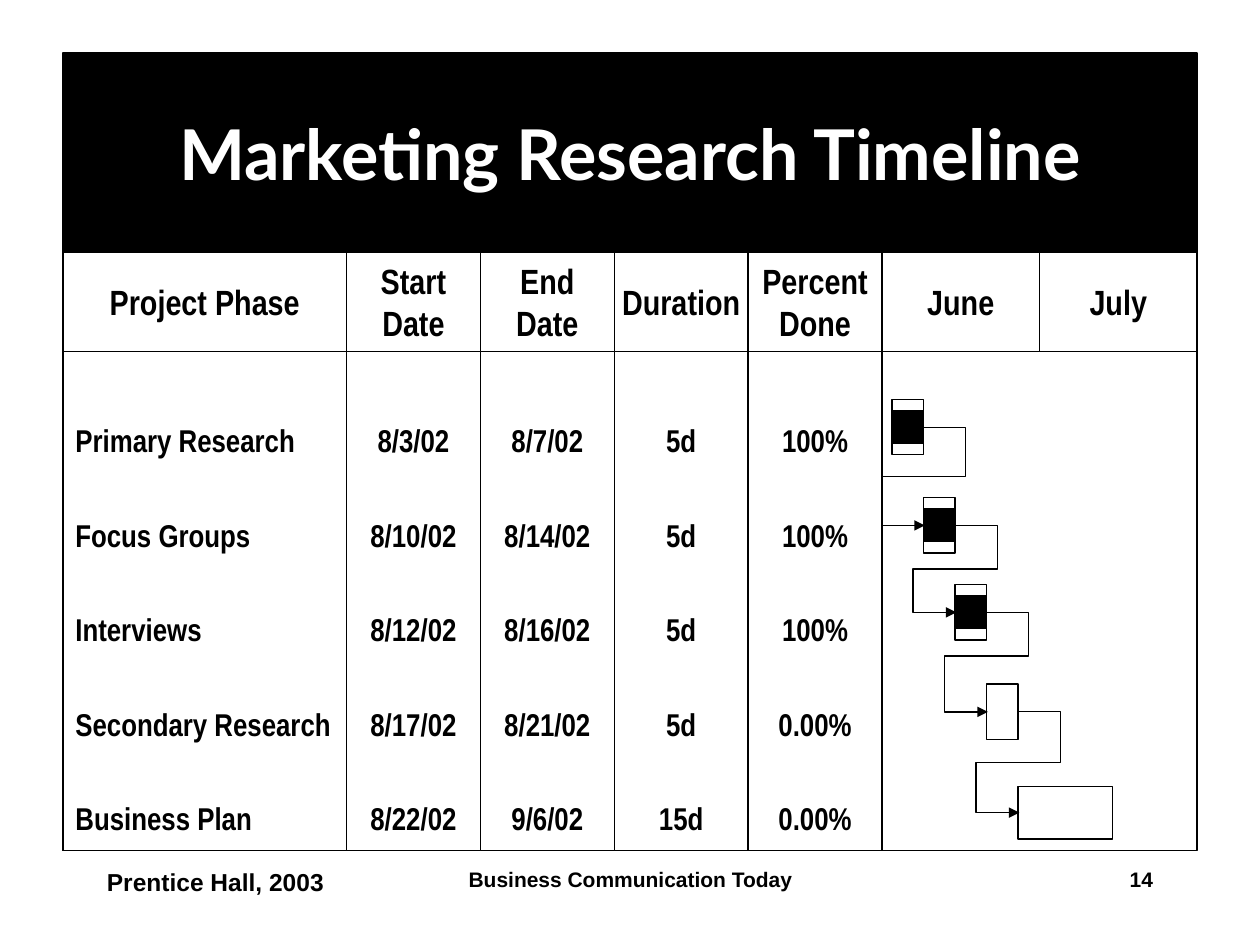
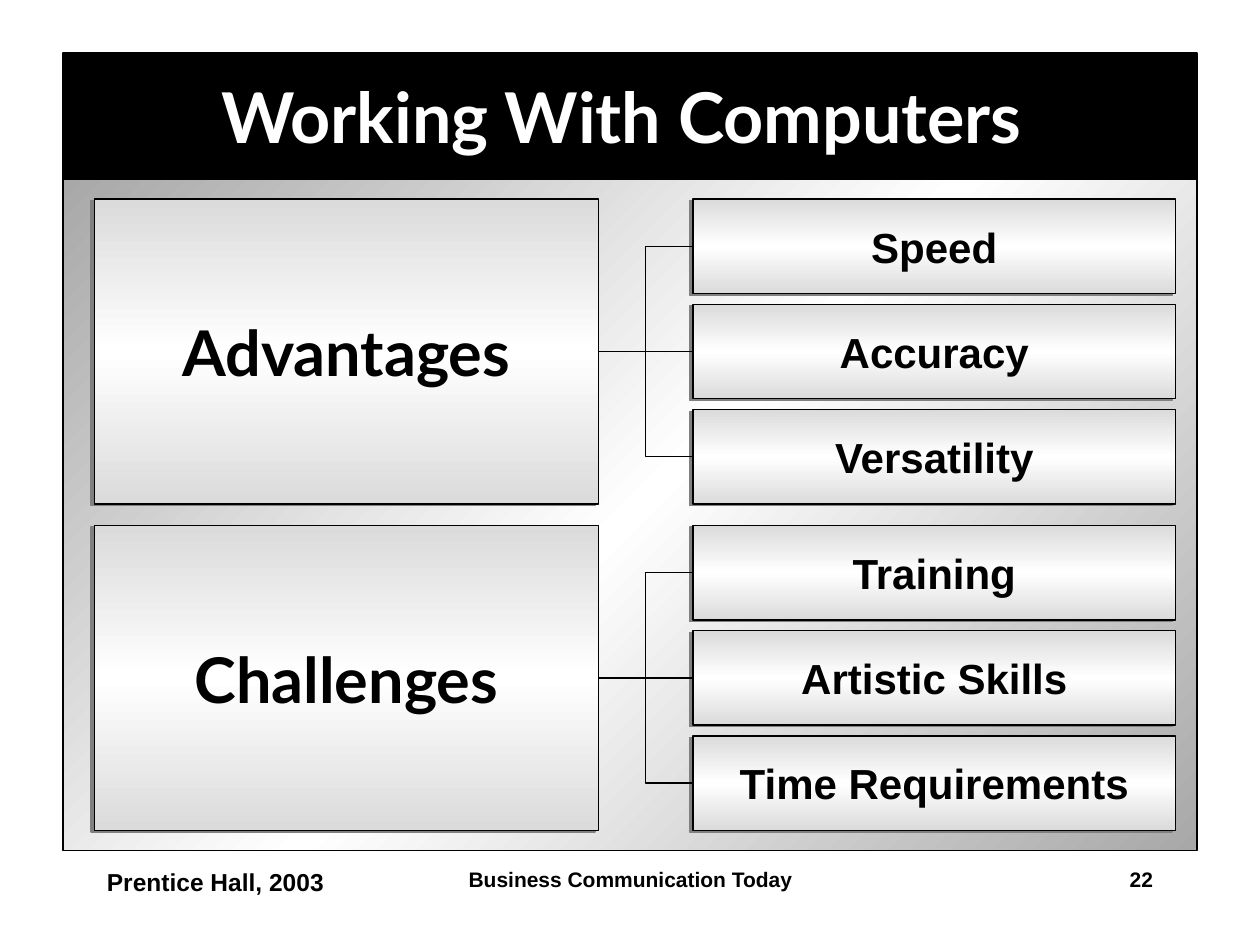
from copy import deepcopy
from lxml.etree import SubElement
from pptx import Presentation
from pptx.dml.color import RGBColor
from pptx.enum.shapes import MSO_CONNECTOR, MSO_SHAPE
from pptx.enum.text import MSO_ANCHOR, MSO_AUTO_SIZE, PP_ALIGN
from pptx.oxml.ns import qn
from pptx.util import Inches, Pt

BLACK = RGBColor(0x00, 0x00, 0x00)
WHITE = RGBColor(0xFF, 0xFF, 0xFF)
SILVER = RGBColor(0xA8, 0xA8, 0xA8)
PALE = RGBColor(0xDB, 0xDB, 0xDB)
GRAY = RGBColor(0x80, 0x80, 0x80)

TITLE_FONT = "Lato"
BODY_FONT = "Arial"
TABLE_FONT = "Arial Narrow"
TITLE_ONLY = 5

LEFT, TOP, WIDTH, BOTTOM = 0.5, 0.42, 9, 6.75

FOOTERS = [
    (3.42, 3.17, 12, PP_ALIGN.CENTER),
    (7.17, 2.08, 12, PP_ALIGN.RIGHT),
    (0.75, 2.08, 14, PP_ALIGN.LEFT),
]

DATE_WIDTH = 4.25 / 4
COLUMNS = [
    (2.25, ["Project Phase"],
     ["Primary Research", "Focus Groups", "Interviews", "Secondary Research", "Business Plan"]),
    (DATE_WIDTH, ["Start", "Date"], ["8/3/02", "8/10/02", "8/12/02", "8/17/02", "8/22/02"]),
    (DATE_WIDTH, ["End", "Date"], ["8/7/02", "8/14/02", "8/16/02", "8/21/02", "9/6/02"]),
    (DATE_WIDTH, ["Duration"], ["5d", "5d", "5d", "5d", "15d"]),
    (DATE_WIDTH, ["Percent", "Done"], ["100%", "100%", "100%", "0.00%", "0.00%"]),
    (1.25, ["June"], []),
    (1.25, ["July"], []),
]
BARS = [
    (3.17, 0.25, 0.44, True),
    (3.95, 0.25, 0.44, True),
    (4.64, 0.25, 0.44, True),
    (5.43, 0.25, 0.44, False),
    (6.24, 0.75, 0.42, False),
]
LINK_BENDS = [0.5, 0.5, 0.44, 0.5]

GROUPS = [
    (1.58, "Advantages", ["Speed", "Accuracy", "Versatility"]),
    (4.17, "Challenges", ["Training", "Artistic Skills", "Time Requirements"]),
]


class SlideBuilder:
    def __init__(self, deck):
        self.deck = deck
        self.page = None

    def start(self, title, title_height, number):
        self.page = self.deck.slides.add_slide(self.deck.slide_layouts[TITLE_ONLY])
        band = self.page.shapes.title
        band.left, band.top = Inches(LEFT), Inches(TOP)
        band.width, band.height = Inches(WIDTH), Inches(title_height)
        self.paint(band, BLACK)
        self.set_text(band, [title], 40, TITLE_FONT, color=WHITE)
        texts = ["Business Communication Today", str(number), "Prentice Hall, 2003"]
        for text, (left, width, size, align) in zip(texts, FOOTERS):
            box = self.page.shapes.add_textbox(
                Inches(left), Inches(6.83), Inches(width), Inches(0.5))
            self.set_text(box, [text], size, BODY_FONT, align, anchor=MSO_ANCHOR.TOP)

    def paint(self, shape, fill):
        shape.fill.solid()
        shape.fill.fore_color.rgb = fill
        self.outline(shape)

    def outline(self, shape):
        shape.line.color.rgb = BLACK
        shape.line.width = Pt(0.75)

    def set_text(self, shape, lines, size, font, align=PP_ALIGN.CENTER, color=BLACK,
                 anchor=MSO_ANCHOR.MIDDLE, wrap=True, spacing=None):
        frame = shape.text_frame
        frame.word_wrap = wrap
        frame.auto_size = MSO_AUTO_SIZE.NONE
        frame.vertical_anchor = anchor
        frame.text = "\n".join(lines)
        for para in frame.paragraphs:
            para.alignment = align
            para.line_spacing = spacing
            para.font.name = font
            para.font.size = Pt(size)
            para.font.bold = True
            para.font.color.rgb = color

    def rectangle(self, left, top, width, height, fill=WHITE):
        shape = self.page.shapes.add_shape(
            MSO_SHAPE.RECTANGLE, Inches(left), Inches(top), Inches(width), Inches(height))
        shape.shadow.inherit = False
        self.paint(shape, fill)
        return shape

    def cell(self, left, top, width, height, lines, size, **style):
        shape = self.rectangle(left, top, width, height)
        self.set_text(shape, lines, size, TABLE_FONT, wrap=False, **style)

    def gradient(self, shape, edge, angle):
        shape.fill.gradient()
        shape.fill.gradient_angle = angle
        stop_list = shape.element.spPr.find(qn("a:gradFill")).find(qn("a:gsLst"))
        stop_list.insert(1, deepcopy(stop_list[0]))
        colors = [(0, edge), (0.5, WHITE), (1, edge)]
        for stop, (position, color) in zip(shape.fill.gradient_stops, colors):
            stop.position = position
            stop.color.rgb = color

    def card(self, left, top, width, height, text, size, font):
        shape = self.rectangle(left, top, width, height)
        self.gradient(shape, PALE, 270)
        effects = shape.element.spPr.find(qn("a:effectLst"))
        shadow = SubElement(effects, qn("a:outerShdw"), dist=str(Pt(2.2)),
                            dir=str(154 * 60000), algn="ctr", rotWithShape="0")
        SubElement(shadow, qn("a:srgbClr"), val=str(GRAY))
        self.set_text(shape, [text], size, font, wrap=False)
        return shape

    def connector(self, kind, start=(0, 0), end=(0, 0)):
        line = self.page.shapes.add_connector(
            kind, *(Inches(value) for value in (*start, *end)))
        self.outline(line)
        SubElement(line.element.spPr, qn("a:effectLst"))
        return line

    def join(self, kind, source, target):
        line = self.connector(kind)
        line.begin_connect(source, 3)
        line.end_connect(target, 1)

    def wrapped_arrow(self, left, start, end, bend):
        width, reach = 0.01, 0.34
        line = self.connector(MSO_CONNECTOR.ELBOW, (left, start), (left + width, end))
        properties = line.element.spPr
        SubElement(properties.find(qn("a:ln")), qn("a:tailEnd"), type="triangle")
        geometry = properties.find(qn("a:prstGeom"))
        geometry.set("prst", "bentConnector5")
        guides = geometry.find(qn("a:avLst"))
        for index, ratio in enumerate([reach / width, bend, -reach / width], 1):
            SubElement(guides, qn("a:gd"), name=f"adj{index}",
                       fmla=f"val {round(ratio * 100000)}")


def timeline(builder):
    builder.start("Marketing Research Timeline", 1.58, 14)
    header_top, header_height = 2, 0.79
    body_top = header_top + header_height
    builder.rectangle(LEFT, header_top, WIDTH, BOTTOM - header_top)
    left = LEFT
    for index, (width, heading, values) in enumerate(COLUMNS):
        if values:
            align = PP_ALIGN.CENTER if index else PP_ALIGN.LEFT
            builder.cell(left, body_top, width, BOTTOM - body_top, values, 18,
                         align=align, spacing=2.5)
        builder.cell(left, header_top, width, header_height, heading, 20)
        left += width

    step = 0.25
    first_left = 7.08
    for index, (top, width, height, done) in enumerate(BARS):
        bar_left = first_left + index * step
        builder.rectangle(bar_left, top, width, height)
        if done:
            builder.rectangle(bar_left, top + 0.09, width, 0.26, BLACK)
    middles = [top + height / 2 for top, width, height, done in BARS]
    for index, bend in enumerate(LINK_BENDS):
        builder.wrapped_arrow(first_left + (index + 1) * step,
                              middles[index], middles[index + 1], bend)


def computers(builder):
    builder.start("Working With Computers ", 1, 22)
    panel_top = TOP + 1
    panel = builder.rectangle(LEFT, panel_top, WIDTH, BOTTOM - panel_top)
    builder.gradient(panel, SILVER, 135)
    group_height, item_height = 2.42, 0.75
    pitch = (group_height - item_height) / 2
    for top, heading, items in GROUPS:
        group = builder.card(0.75, top, 4, group_height, heading, 36, TITLE_FONT)
        for index, text in enumerate(items):
            item = builder.card(5.5, top + index * pitch, 3.83, item_height, text, 24, BODY_FONT)
            kind = MSO_CONNECTOR.STRAIGHT if index == 1 else MSO_CONNECTOR.ELBOW
            builder.join(kind, group, item)


def main():
    deck = Presentation()
    deck.slide_width, deck.slide_height = Inches(10), Inches(7.5)
    builder = SlideBuilder(deck)
    timeline(builder)
    computers(builder)
    deck.save("out.pptx")


if __name__ == "__main__":
    main()
